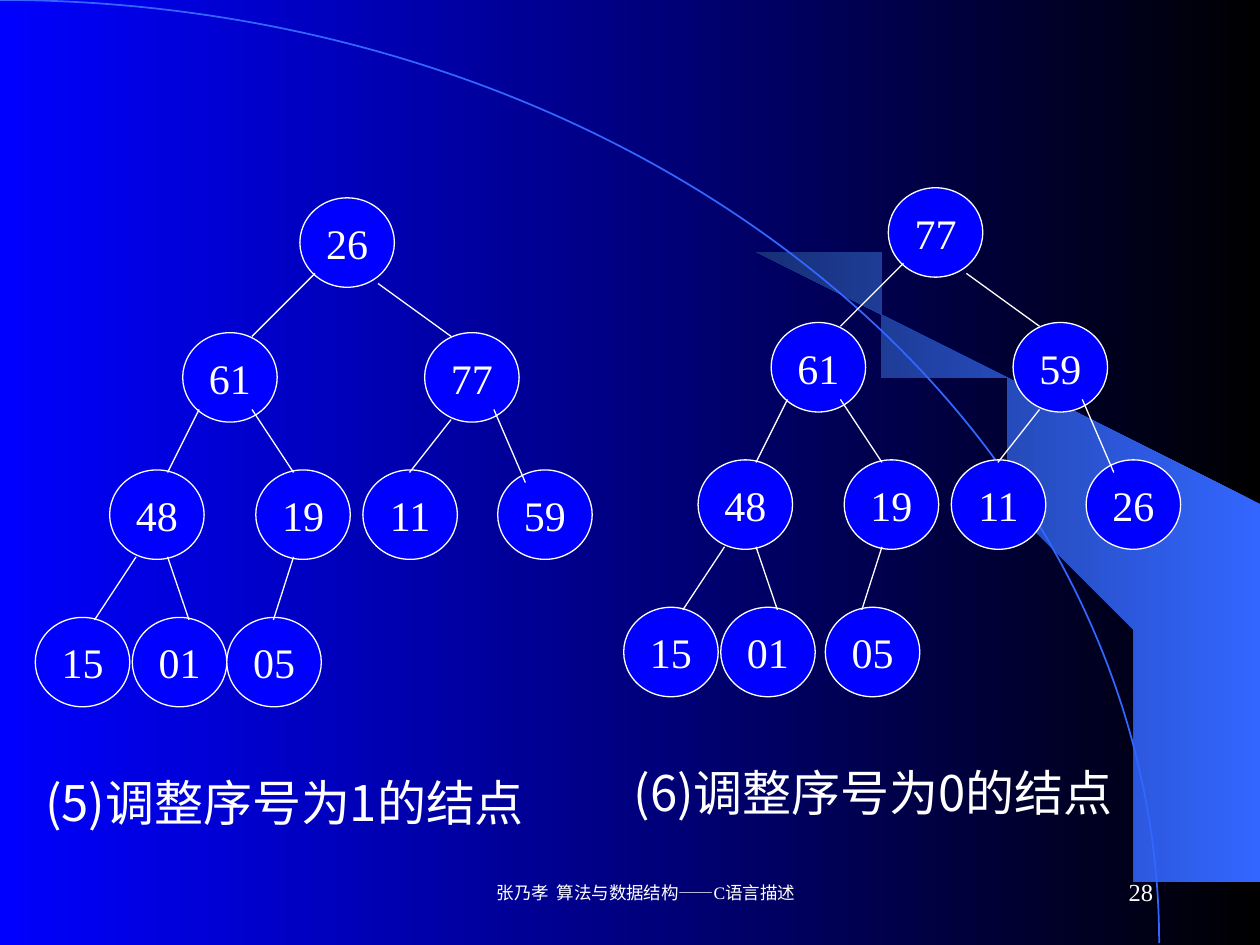
from lxml import etree
from pptx import Presentation
from pptx.dml.color import RGBColor
from pptx.enum.shapes import MSO_CONNECTOR, MSO_SHAPE
from pptx.enum.text import MSO_ANCHOR, PP_ALIGN
from pptx.oxml.ns import qn
from pptx.util import Inches, Pt

LEFT, CENTER, RIGHT = PP_ALIGN.LEFT, PP_ALIGN.CENTER, PP_ALIGN.RIGHT
TOP, MIDDLE = MSO_ANCHOR.TOP, MSO_ANCHOR.MIDDLE
OVAL, ARC = MSO_SHAPE.OVAL, MSO_SHAPE.ARC
STRAIGHT = MSO_CONNECTOR.STRAIGHT

COLORS = {
    "black": "000000",
    "blue": "0000FF",
    "white": "FFFFFF",
    "sky": "3366FF",
    "navy": "172F75",
}
SERIF, SANS = "Times New Roman", "Noto Sans CJK SC"

NODE_W, NODE_H = 0.75, 0.71
# Left and top of each node, level by level
NODES = [
    (2.38, 1.57),
    (1.45, 2.64), (3.37, 2.64),
    (0.87, 3.73), (2.03, 3.73), (2.88, 3.73), (3.95, 3.73),
    (0.28, 4.9), (1.05, 4.9), (1.8, 4.9),
]
# Start and end of each branch
BRANCHES = [
    (2.5, 2.17, 2, 2.67), (1.58, 3.25, 1.33, 3.75),
    (1.08, 4.42, 0.75, 4.92), (1.33, 4.42, 1.5, 4.92),
    (2, 3.25, 2.33, 3.75), (2.33, 4.42, 2.17, 4.92),
    (3, 2.25, 3.58, 2.67), (3.58, 3.33, 3.25, 3.75),
    (3.92, 3.25, 4.17, 3.83),
]
SWOOSH = [
    (9.2, 7.48), (9.99, 7.49), (9.99, 4.23), (5.89, 1.73), (6.24, 1.99),
    (6.53, 2.22), (6.85, 2.5), (7.16, 2.8), (7.62, 3.3), (8.03, 3.84),
    (8.32, 4.31), (8.58, 4.79), (8.78, 5.28), (8.93, 5.72), (9.03, 6.09),
    (9.13, 6.56), (9.17, 6.96),
]


def rgb(name):
    return RGBColor.from_string(COLORS[name])


def set_line(line, color, width):
    line.color.rgb = rgb(color)
    line.width = Pt(width)


def set_gradient(fill, right, left):
    """Fill with a horizontal gradient that starts at the right edge."""
    fill.gradient()
    fill.gradient_angle = 180
    for stop, color, position in zip(fill.gradient_stops, (right, left), (0, 1)):
        stop.color.rgb = rgb(color)
        stop.position = position


def set_text(sp, text, size, font=SERIF, align=CENTER, anchor=MIDDLE, wrap=True, indent=0):
    tf = sp.text_frame
    tf.word_wrap = wrap
    tf.vertical_anchor = anchor
    p = tf.paragraphs[0]
    p.text = text
    p.alignment = align
    p.font.size = Pt(size)
    p.font.name = font
    p.font.color.rgb = rgb("white")
    pPr = p._p.get_or_add_pPr()
    if indent:
        pPr.set("marL", str(Inches(indent)))
    ea = etree.SubElement(pPr.find(qn("a:defRPr")), qn("a:ea"))
    ea.set("typeface", SANS)


def add_label(s, box, text, size, **style):
    set_text(s.shapes.add_textbox(*map(Inches, box)), text, size, **style)


def add_backdrop(s):
    set_gradient(s.background.fill, "black", "blue")

    builder = s.shapes.build_freeform(*SWOOSH[0], scale=Inches(1))
    builder.add_line_segments(SWOOSH[1:], close=True)
    swoosh = builder.convert_to_shape()
    swoosh.shadow.inherit = False
    set_gradient(swoosh.fill, "sky", "navy")
    swoosh.line.fill.background()

    arc = s.shapes.add_shape(ARC, Inches(-9.2), 0, Inches(18.4), Inches(14.97))
    arc.shadow.inherit = False
    arc.fill.background()
    set_line(arc.line, "sky", 1)


def add_node(s, x, y, value):
    sp = s.shapes.add_shape(OVAL, Inches(x), Inches(y), Inches(NODE_W), Inches(NODE_H))
    sp.shadow.inherit = False
    sp.fill.solid()
    sp.fill.fore_color.rgb = rgb("blue")
    set_line(sp.line, "white", 0.75)
    set_text(sp, value, 24, wrap=False)


def add_branch(s, x1, y1, x2, y2):
    branch = s.shapes.add_connector(STRAIGHT, *map(Inches, (x1, y1, x2, y2)))
    set_line(branch.line, "white", 0.75)
    etree.SubElement(branch._element.spPr, qn("a:effectLst"))


def add_tree(s, values, caption, dx=0, dy=0, last_shift=0):
    """Draw a heap moved by dx, dy; last_shift moves its last node further right."""
    for (x, y), value in zip(NODES, values):
        shift = last_shift if (x, y) == NODES[-1] else 0
        add_node(s, x + dx + shift, y + dy, value)
    for x1, y1, x2, y2 in BRANCHES:
        add_branch(s, x1 + dx, y1 + dy, x2 + dx, y2 + dy)
    add_label(s, (0.26 + dx, 6.08 + dy, 4.56, 0.57), caption, 28,
              font=SANS, align=LEFT, anchor=TOP)


def main():
    prs = Presentation()
    prs.slide_width, prs.slide_height = Inches(10), Inches(7.5)
    s = prs.slides.add_slide(prs.slide_layouts[6])
    add_backdrop(s)
    add_tree(s, "26 61 77 48 19 11 59 15 01 05".split(), "(5)调整序号为1的结点")
    add_tree(s, "77 61 59 48 19 11 26 15 01 05".split(), "(6)调整序号为0的结点",
             dx=4.67, dy=-0.08, last_shift=0.08)
    add_label(s, (3.42, 6.83, 3.17, 0.5), "张乃孝  算法与数据结构——C语言描述", 10, indent=0.24)
    add_label(s, (7.17, 6.83, 2.08, 0.5), "28", 14, align=RIGHT, indent=0.24)
    prs.save("out.pptx")


if __name__ == "__main__":
    main()
